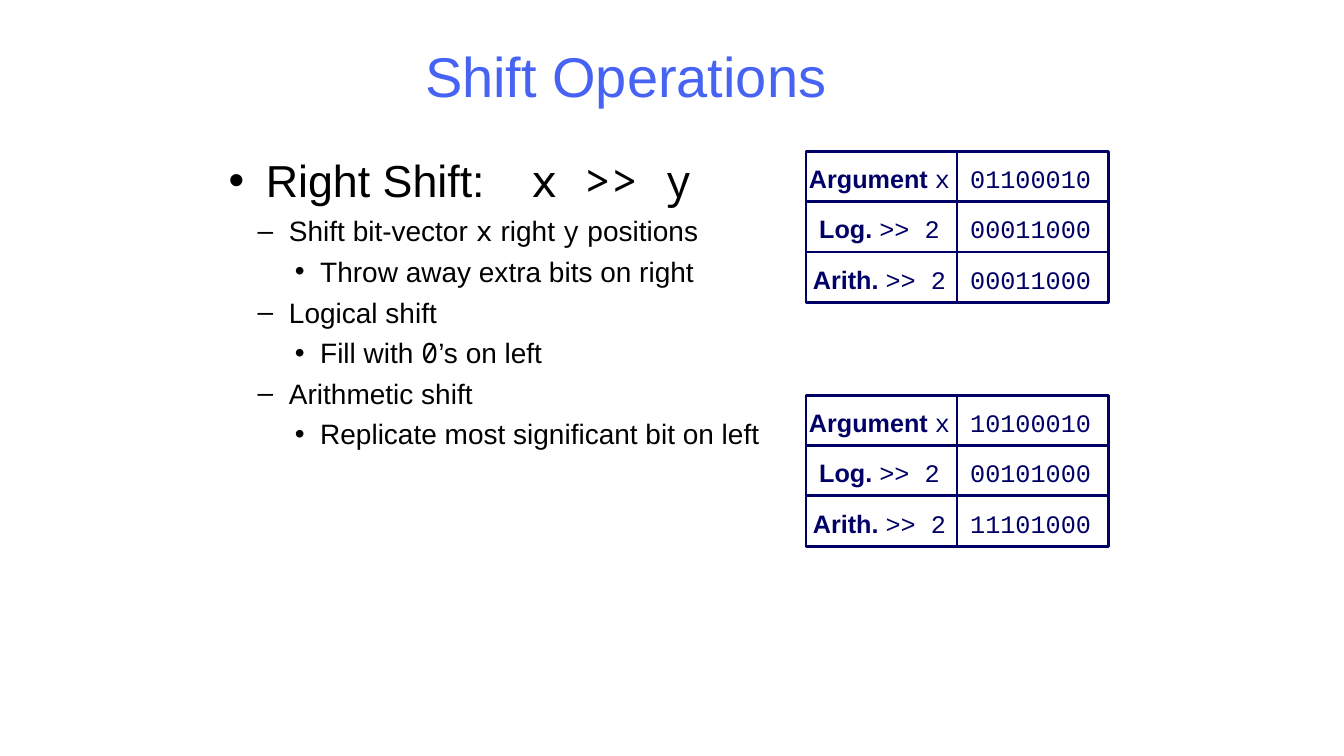
from dataclasses import dataclass

import lxml.etree
import pptx
import pptx.enum.shapes
import pptx.enum.text
import pptx.oxml.ns
import pptx.util
from pptx.dml.color import RGBColor
from pptx.util import Pt

BLUE = RGBColor(0x47, 0x63, 0xF3)
NAVY = RGBColor(0x00, 0x00, 0x66)
BLACK = RGBColor(0x00, 0x00, 0x00)
WHITE = RGBColor(0xFF, 0xFF, 0xFF)

SANS = "Arial"
MONO = "Noto Sans Mono"
COURIER = "Courier New"

GRID_LEFT = 576
CELL_WIDTH = 108
CELL_HEIGHT = 36
EXPRESSION_TAB = 216


@dataclass(frozen=True)
class Run:
    text: str
    font: str = SANS
    bold: bool = False


@dataclass(frozen=True)
class Level:
    bullet: str
    size: float
    margin: float
    hanging: float
    space_before: float


@dataclass(frozen=True)
class Point:
    level: int
    runs: tuple[Run, ...]


@dataclass(frozen=True)
class ShiftGrid:
    top: float
    values: tuple[str, str, str]


LEVELS = (
    Level("•", 32, 26.64, 26.64, 0),
    Level("–", 20, 43.2, 22.32, 5),
    Level("•", 20, 65.52, 18, 5),
)

POINTS = (
    Point(0, (Run("Right Shift: \t"), Run("x >> y", MONO))),
    Point(1, (Run("Shift bit-vector "), Run("x", MONO), Run(" right "),
              Run("y", MONO), Run(" positions"))),
    Point(2, (Run("Throw away extra bits on right"),)),
    Point(1, (Run("Logical shift"),)),
    Point(2, (Run("Fill with "), Run("0", MONO), Run("’s on left"))),
    Point(1, (Run("Arithmetic shift"),)),
    Point(2, (Run("Replicate most significant bit on left"),)),
)

ROW_LABELS = (
    (Run("Argument ", bold=True), Run("x", COURIER)),
    (Run("Log. ", bold=True), Run(">> 2", COURIER)),
    (Run("Arith. ", bold=True), Run(">> 2", COURIER)),
)

SHIFT_GRIDS = (
    ShiftGrid(108, ("01100010", "00011000", "00011000")),
    ShiftGrid(282.24, ("10100010", "00101000", "11101000")),
)


def add_runs(paragraph, runs: tuple[Run, ...], size: float, color: RGBColor) -> None:
    for item in runs:
        run = paragraph.add_run()
        run.text = item.text
        run.font.name = item.font
        run.font.size = Pt(size)
        run.font.bold = item.bold
        run.font.color.rgb = color


def add_element(parent, tag: str, **attributes: str):
    return lxml.etree.SubElement(parent, pptx.oxml.ns.qn(tag), attributes)


def add_title(slide) -> None:
    title = slide.shapes.title
    title.left, title.top, title.width, title.height = map(Pt, (148.32, 23.76, 597.6, 59.76))
    title.text_frame.vertical_anchor = pptx.enum.text.MSO_ANCHOR.MIDDLE
    paragraph = title.text_frame.paragraphs[0]
    paragraph.alignment = pptx.enum.text.PP_ALIGN.CENTER
    add_runs(paragraph, (Run("Shift Operations"),), 40, BLUE)


def format_bullet(paragraph, level: Level) -> None:
    properties = paragraph._p.get_or_add_pPr()
    properties.set("marL", str(Pt(level.margin)))
    properties.set("indent", str(-Pt(level.hanging)))
    add_element(add_element(properties, "a:buClr"), "a:srgbClr", val=str(BLACK))
    add_element(properties, "a:buFont", typeface=SANS)
    add_element(properties, "a:buChar", char=level.bullet)
    tabs = add_element(properties, "a:tabLst")
    add_element(tabs, "a:tab", pos=str(Pt(EXPRESSION_TAB)), algn="l")
    paragraph.space_before = Pt(level.space_before)


def add_points(slide) -> None:
    box = slide.shapes.add_textbox(Pt(156.24), Pt(105.84), Pt(648), Pt(356.4))
    frame = box.text_frame
    frame.word_wrap = True
    for index, point in enumerate(POINTS):
        paragraph = frame.add_paragraph() if index else frame.paragraphs[0]
        paragraph.level = point.level
        level = LEVELS[point.level]
        format_bullet(paragraph, level)
        add_runs(paragraph, point.runs, level.size, BLACK)


def add_cell(slide, left: float, top: float, runs: tuple[Run, ...]) -> None:
    cell = slide.shapes.add_shape(
        pptx.enum.shapes.MSO_SHAPE.RECTANGLE,
        Pt(left), Pt(top), Pt(CELL_WIDTH), Pt(CELL_HEIGHT))
    cell.shadow.inherit = False
    cell.fill.solid()
    cell.fill.fore_color.rgb = WHITE
    cell.line.color.rgb = NAVY
    cell.line.width = Pt(2)
    frame = cell.text_frame
    frame.word_wrap = False
    frame.vertical_anchor = pptx.enum.text.MSO_ANCHOR.MIDDLE
    frame.margin_left = frame.margin_bottom = 0
    frame.margin_top = frame.margin_right = Pt(2.88)
    paragraph = frame.paragraphs[0]
    paragraph.alignment = pptx.enum.text.PP_ALIGN.CENTER
    add_runs(paragraph, runs, 18, NAVY)


def add_shift_grid(slide, grid: ShiftGrid) -> None:
    for row, (label, value) in enumerate(zip(ROW_LABELS, grid.values)):
        top = grid.top + row * CELL_HEIGHT
        add_cell(slide, GRID_LEFT, top, label)
        add_cell(slide, GRID_LEFT + CELL_WIDTH, top, (Run(value, COURIER),))


def main() -> None:
    presentation = pptx.Presentation()
    presentation.slide_width = Pt(960.48)
    presentation.slide_height = Pt(540)
    slide = presentation.slides.add_slide(presentation.slide_layouts.get_by_name("Title Only"))
    add_title(slide)
    add_points(slide)
    for grid in SHIFT_GRIDS:
        add_shift_grid(slide, grid)
    presentation.save("out.pptx")


if __name__ == "__main__":
    main()
